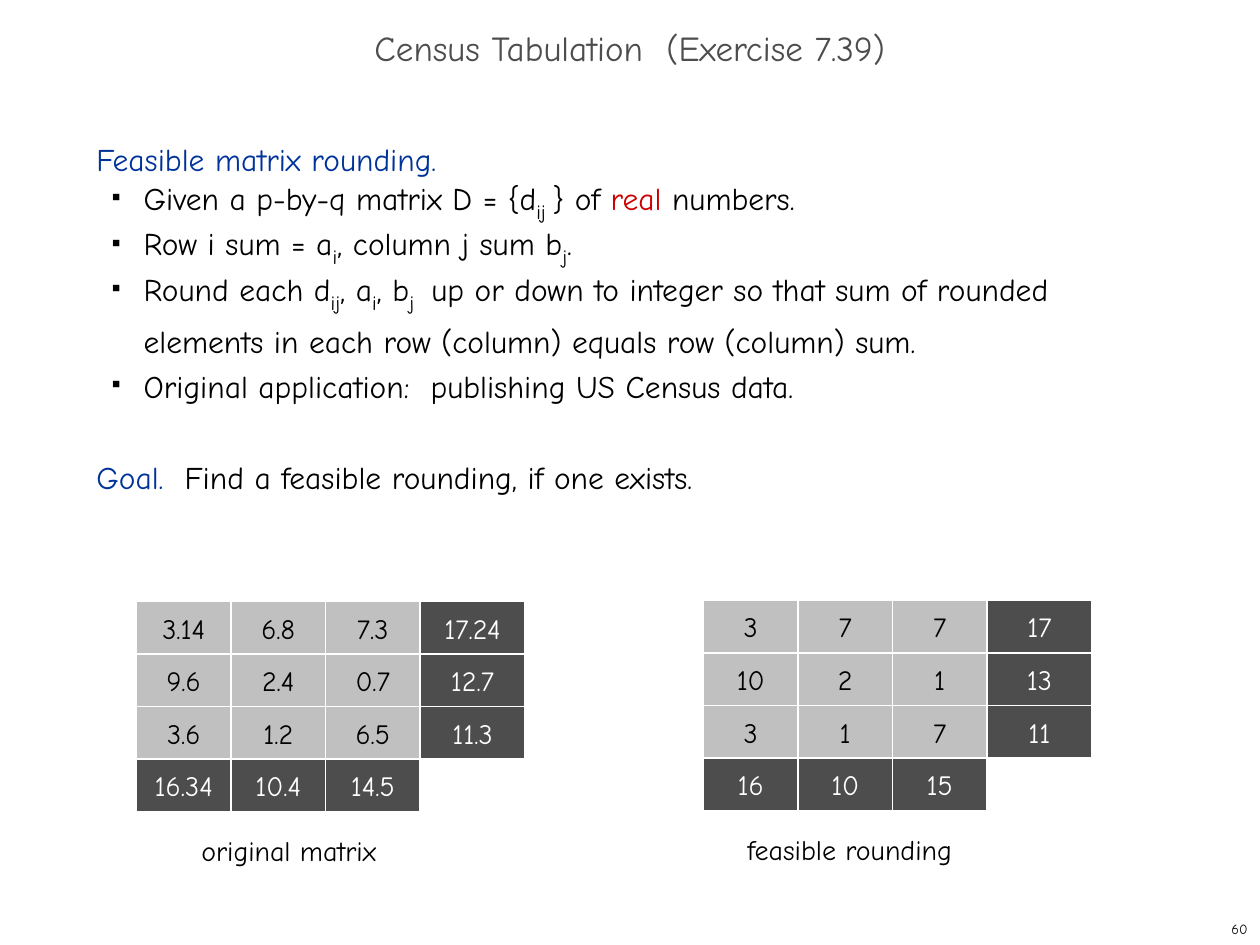
import dataclasses

import pptx
import pptx.dml.color
import pptx.enum.shapes
import pptx.enum.text
import pptx.oxml
import pptx.oxml.ns
import pptx.util

ALIGN = pptx.enum.text.PP_ALIGN
ANCHOR = pptx.enum.text.MSO_ANCHOR

# ---- Content ----
TITLE = "Census Tabulation  (Exercise 7.39)"
PAGE_NUMBER = "60"

# Each line: kind, then runs of (text, style)
BODY = [
    ("heading", [("Feasible matrix rounding.", "topic")]),
    ("bullet", [("Given a p-by-q matrix D = {d", "plain"), ("ij ", "sub"),
                ("} of ", "plain"), ("real", "accent"), (" numbers.", "plain")]),
    ("bullet", [("Row i sum = a", "plain"), ("i", "sub"),
                (", column j sum b", "plain"), ("j", "sub"), (".", "plain")]),
    ("bullet", [("Round each d", "plain"), ("ij", "sub"), (", a", "plain"),
                ("i", "sub"), (", b", "plain"), ("j ", "sub"),
                (" up or down to integer so that sum of rounded elements "
                 "in each row (column) equals row (column) sum.", "plain")]),
    ("bullet", [("Original application:  publishing US Census data.", "plain")]),
    ("goal", [("Goal.  ", "topic"),
              ("Find a feasible rounding, if one exists.", "plain")]),
]

# The last column holds row sums, the last row holds column sums
MATRICES = [
    {"caption": "original matrix", "left": 130, "top": 573,
     "caption_indent": 50, "caption_width": 290,
     "rows": [["3.14", "6.8", "7.3", "17.24"],
              ["9.6", "2.4", "0.7", "12.7"],
              ["3.6", "1.2", "6.5", "11.3"],
              ["16.34", "10.4", "14.5"]]},
    {"caption": "feasible rounding", "left": 670, "top": 572,
     "caption_indent": 30, "caption_width": 330,
     "rows": [["3", "7", "7", "17"],
              ["10", "2", "1", "13"],
              ["3", "1", "7", "11"],
              ["16", "10", "15"]]},
]


# ---- Theme and measures ----
@dataclasses.dataclass(frozen=True)
class Theme:
    font: str = "Comic Neue"
    black: str = "000000"
    white: str = "FFFFFF"
    dark: str = "4D4D4D"
    light: str = "C0C0C0"
    blue: str = "003399"
    red: str = "CC0000"
    title_size: int = 20
    body_size: int = 18
    sub_size: int = 20
    matrix_size: int = 16
    page_size: int = 8
    line_pitch: int = 26


THEME = Theme()
RUN_STYLES = {  # size, colour
    "topic": (THEME.body_size, THEME.blue),
    "plain": (THEME.body_size, THEME.black),
    "accent": (THEME.body_size, THEME.red),
    "sub": (THEME.sub_size, THEME.black),
}
PX = 7620  # EMU per px, 120 px to the inch
CELL_W, SUM_W, CELL_H = 90, 100, 50
CAPTION_DROP, CAPTION_H = 215, 44


def px(*lengths):
    return [pptx.util.Emu(length * PX) for length in lengths]


def rgb(value):
    return pptx.dml.color.RGBColor.from_string(value)


def style_run(run, size, color):
    run.font.name = THEME.font
    run.font.size = pptx.util.Pt(size)
    run.font.color.rgb = rgb(color)


def add_text(slide, box, text, size, color, align=ALIGN.LEFT, anchor=ANCHOR.TOP):
    frame = slide.shapes.add_textbox(*px(*box)).text_frame
    frame.word_wrap = True
    frame.vertical_anchor = anchor
    paragraph = frame.paragraphs[0]
    paragraph.text = text
    paragraph.alignment = align
    style_run(paragraph.runs[0], size, color)
    return paragraph


def add_bullet(paragraph):
    props = paragraph._p.get_or_add_pPr()
    props.set("marL", str(45 * PX))
    props.set("indent", str(-30 * PX))
    ns = pptx.oxml.ns.nsdecls("a")
    for xml in (f'<a:buClr {ns}><a:srgbClr val="{THEME.black}"/></a:buClr>',
                f'<a:buSzPct {ns} val="35000"/>',
                f'<a:buChar {ns} char="■"/>'):
        props.append(pptx.oxml.parse_xml(xml))


def add_body(slide, box):
    frame = slide.shapes.add_textbox(*px(*box)).text_frame
    frame.word_wrap = True
    for index, (kind, pieces) in enumerate(BODY):
        line = frame.add_paragraph() if index else frame.paragraphs[0]
        if kind == "bullet":
            line.level = 1
            add_bullet(line)
        elif kind == "goal":
            line.space_before = pptx.util.Pt(THEME.line_pitch)
        line.line_spacing = pptx.util.Pt(THEME.line_pitch)
        for text, style in pieces:
            run = line.add_run()
            run.text = text
            style_run(run, *RUN_STYLES[style])
            if style == "sub":
                run.font._element.set("baseline", "-25000")


def add_cell(slide, box, value, is_sum):
    cell = slide.shapes.add_shape(
        pptx.enum.shapes.MSO_SHAPE.RECTANGLE, *px(*box))
    cell.shadow.inherit = False
    cell.fill.solid()
    cell.fill.fore_color.rgb = rgb(THEME.dark if is_sum else THEME.light)
    cell.line.color.rgb = rgb(THEME.white)
    cell.line.width = pptx.util.Pt(0.75)
    frame = cell.text_frame
    frame.text = value
    frame.word_wrap = False
    frame.vertical_anchor = ANCHOR.MIDDLE
    frame.paragraphs[0].alignment = ALIGN.CENTER
    style_run(frame.paragraphs[0].runs[0], THEME.matrix_size,
              THEME.white if is_sum else THEME.black)


def add_matrix(slide, matrix):
    left, top, rows = matrix["left"], matrix["top"], matrix["rows"]
    sum_row, sum_column = len(rows) - 1, len(rows[0]) - 1
    for r, values in enumerate(rows):
        for c, value in enumerate(values):
            width = SUM_W if c == sum_column else CELL_W
            box = (left + c * CELL_W, top + r * CELL_H, width, CELL_H)
            add_cell(slide, box, value, r == sum_row or c == sum_column)
    add_text(slide, (left + matrix["caption_indent"], top + CAPTION_DROP,
                     matrix["caption_width"], CAPTION_H),
             matrix["caption"], THEME.matrix_size, THEME.black)


def main():
    deck = pptx.Presentation()
    deck.slide_width, deck.slide_height = px(1200, 900)
    slide = deck.slides.add_slide(deck.slide_layouts[6])

    # Title and explanation
    title = add_text(slide, (0, 20, 1200, 60), TITLE, THEME.title_size,
                     THEME.dark, ALIGN.CENTER, ANCHOR.MIDDLE)
    title.line_spacing = 0.7
    add_body(slide, (80, 120, 1030, 710))

    # Matrices side by side
    for matrix in MATRICES:
        add_matrix(slide, matrix)

    # Page number
    add_text(slide, (950, 870, 250, 30), PAGE_NUMBER, THEME.page_size,
             THEME.black, ALIGN.RIGHT, ANCHOR.MIDDLE)
    deck.save("out.pptx")


if __name__ == "__main__":
    main()
